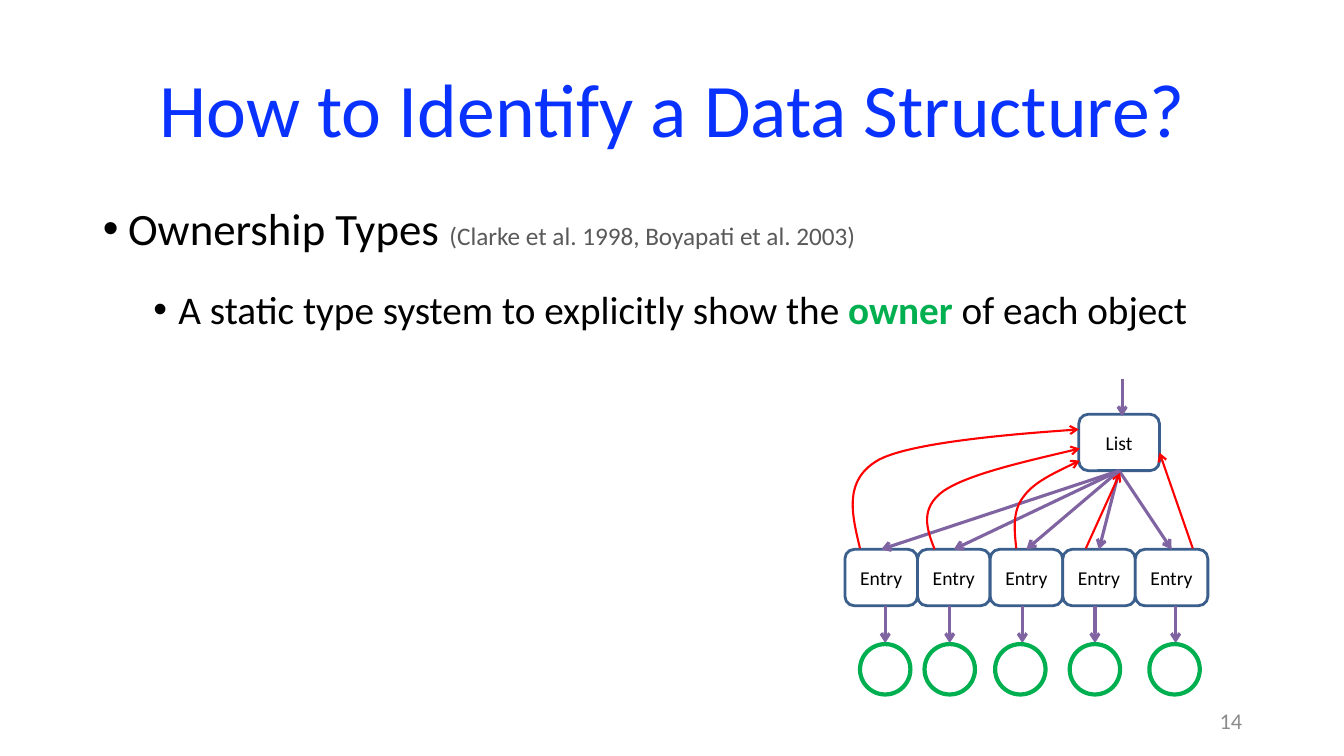
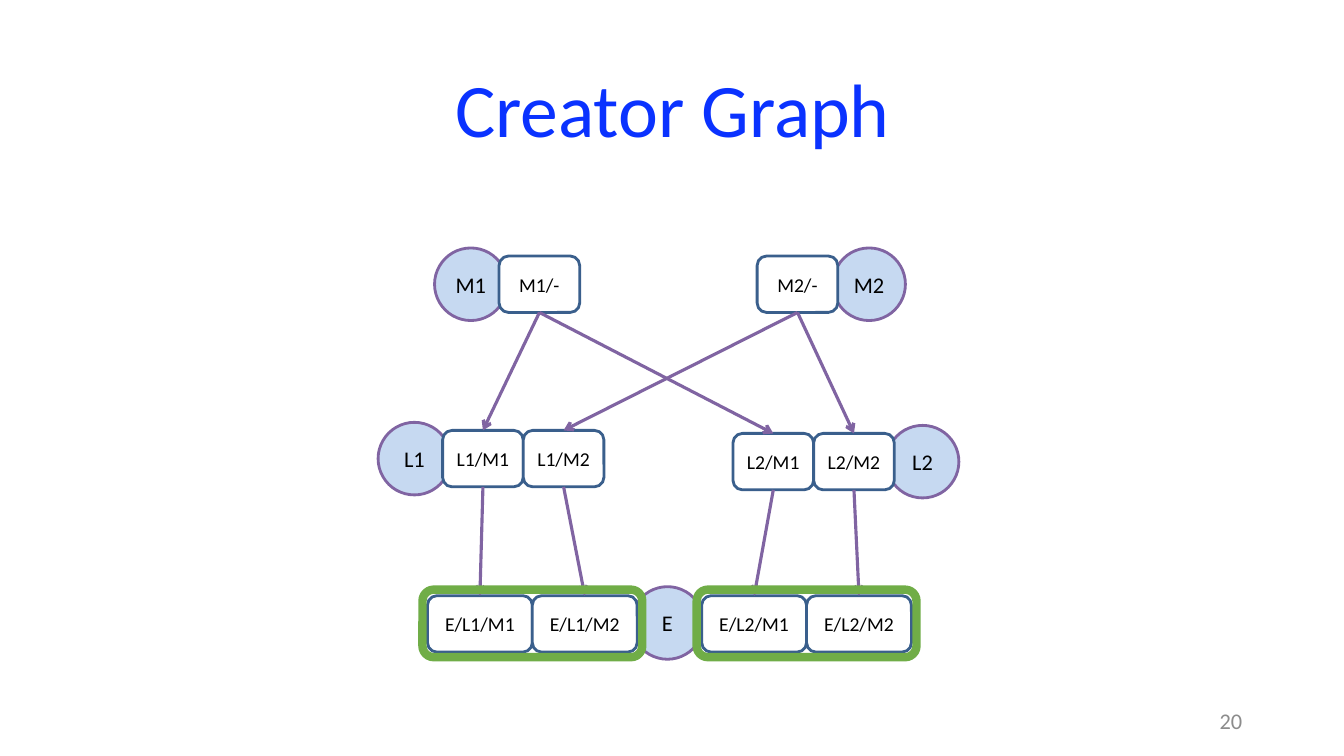
from lxml import etree
from pptx import Presentation
from pptx.dml.color import RGBColor
from pptx.enum.shapes import MSO_CONNECTOR, MSO_SHAPE
from pptx.enum.text import MSO_ANCHOR, MSO_AUTO_SIZE, PP_ALIGN
from pptx.oxml.ns import qn
from pptx.util import Inches, Pt

STRAIGHT = MSO_CONNECTOR.STRAIGHT
ROUNDED = MSO_SHAPE.ROUNDED_RECTANGLE
OVAL = MSO_SHAPE.OVAL
MIDDLE = MSO_ANCHOR.MIDDLE
NO_AUTOFIT = MSO_AUTO_SIZE.NONE
CENTER, LEFT, RIGHT = PP_ALIGN.CENTER, PP_ALIGN.LEFT, PP_ALIGN.RIGHT

FONT = "Calibri"
BLACK = RGBColor(0x00, 0x00, 0x00)
WHITE = RGBColor(0xFF, 0xFF, 0xFF)
TITLE_BLUE = RGBColor(0x0A, 0x32, 0xFF)
CITATION_GRAY = RGBColor(0x59, 0x59, 0x59)
NUMBER_GRAY = RGBColor(0x8C, 0x8C, 0x8C)
BOX_BLUE = RGBColor(0x3A, 0x5F, 0x8C)
PALE_BLUE = RGBColor(0xC6, 0xD9, 0xF1)
PURPLE = RGBColor(0x80, 0x64, 0xA2)
RED = RGBColor(0xFF, 0x00, 0x00)
OWNER_GREEN = RGBColor(0x00, 0xB0, 0x50)
FRAME_GREEN = RGBColor(0x70, 0xAD, 0x47)

TITLE_LAYOUT, TITLE_ONLY_LAYOUT = 1, 5
TOP, BOTTOM = 0, 2
BOX_HEIGHT = 0.56
OBJECT_SIZE = 0.5
CREATOR_SIZE = 0.72

BULLETS = [
    (0, 0.25, 0.9, 0, [
        ("Ownership Types ", 32, BLACK, False),
        ("(Clarke et al. 1998, Boyapati et al. 2003)", 18, CITATION_GRAY, False),
    ]),
    (1, 0.75, 1.5, 5, [
        ("A static type system to explicitly show the ", 28, BLACK, False),
        ("owner ", 28, OWNER_GREEN, True),
        ("of each object", 28, BLACK, False),
    ]),
]

ENTRY_LEFT, ENTRY_TOP, ENTRY_WIDTH = 8.38, 5.45, 0.72
OBJECTS = [(8.78, 8.53), (9.42, 9.17), (10.14, 9.87), (10.86, 10.61), (11.66, 11.4)]

BACK_CURVES = [
    [(8.53, 5.44), (8.45, 5.1), (8.36, 4.76), (8.72, 4.56),
     (9.08, 4.37), (10.7, 4.26), (10.7, 4.26)],
    [(9.27, 5.45), (9.19, 5.25), (9.12, 5.04), (9.36, 4.87),
     (9.6, 4.71), (10.16, 4.58), (10.71, 4.45)],
    [(10.08, 5.44), (10.06, 5.26), (10.04, 5.07), (10.15, 4.93),
     (10.25, 4.79), (10.48, 4.68), (10.71, 4.57)],
]
BACK_LINES = [((11.83, 5.44), (11.5, 4.49)), ((10.77, 5.44), (11.11, 4.69))]

CREATORS = [("M1", 4.31, 2.46), ("M2", 8.26, 2.46), ("L1", 3.75, 4.19),
            ("L2", 8.79, 4.22), ("E", 6.26, 5.82)]
CONTEXT_ROWS = [
    (["M1/-"], 4.95, 2.54, 0.8),
    (["M2/-"], 7.51, 2.54, 0.8),
    (["L1/M1", "L1/M2"], 4.39, 4.27, 0.8),
    (["L2/M1", "L2/M2"], 7.27, 4.3, 0.8),
    (["E/L1/M1", "E/L1/M2"], 4.24, 5.91, 1.04),
    (["E/L2/M1", "E/L2/M2"], 6.96, 5.91, 1.04),
]
FRAME_LEFTS = [4.19, 6.91]


def add_run(paragraph, text, size, color, bold=False):
    """Append one formatted run."""
    run = paragraph.add_run()
    run.text = text
    run.font.name = FONT
    run.font.size = Pt(size)
    run.font.bold = bold
    run.font.color.rgb = color


def place(shape, left, top, width, height):
    """Move and size a shape, in inches."""
    shape.left, shape.top = Inches(left), Inches(top)
    shape.width, shape.height = Inches(width), Inches(height)


def add_base_slide(presentation, layout, title, number):
    """Add a slide with its title and slide number."""
    slide = presentation.slides.add_slide(presentation.slide_layouts[layout])
    place(slide.shapes.title, 0.92, 0.4, 11.5, 1.45)
    frame = slide.shapes.title.text_frame
    frame.vertical_anchor = MIDDLE
    frame.auto_size = NO_AUTOFIT
    paragraph = frame.paragraphs[0]
    paragraph.alignment = CENTER
    paragraph.line_spacing = 0.9
    add_run(paragraph, title, 54, TITLE_BLUE)

    box = slide.shapes.add_textbox(Inches(9.42), Inches(6.95), Inches(3), Inches(0.4))
    box.text_frame.word_wrap = True
    box.text_frame.vertical_anchor = MIDDLE
    paragraph = box.text_frame.paragraphs[0]
    paragraph.alignment = RIGHT
    add_run(paragraph, number, 16, NUMBER_GRAY)
    return slide


def fill_bullets(body, bullets):
    """Write the bulleted list into the body placeholder."""
    place(body, 0.92, 2, 11.5, 4.76)
    frame = body.text_frame
    frame.auto_size = NO_AUTOFIT
    for index, (level, margin, spacing, before, runs) in enumerate(bullets):
        paragraph = frame.add_paragraph() if index else frame.paragraphs[0]
        paragraph.level = level
        paragraph.alignment = LEFT
        paragraph.line_spacing = spacing
        paragraph.space_before = Pt(before)
        properties = paragraph._p.get_or_add_pPr()
        properties.set("marL", str(Inches(margin)))
        properties.set("indent", str(Inches(-0.25)))
        etree.SubElement(properties, qn("a:buFont")).set("typeface", "Arial")
        etree.SubElement(properties, qn("a:buChar")).set("char", "•")
        for run in runs:
            add_run(paragraph, *run)


def add_node(slide, kind, bounds, line_color, line_width, fill=None, label="", size=14):
    """Add an outlined shape, with an optional fill and centred label."""
    shape = slide.shapes.add_shape(kind, *(Inches(length) for length in bounds))
    shape.shadow.inherit = False
    if fill is None:
        shape.fill.background()
    else:
        shape.fill.solid()
        shape.fill.fore_color.rgb = fill
    shape.line.color.rgb = line_color
    shape.line.width = Pt(line_width)
    if label:
        frame = shape.text_frame
        frame.margin_left = frame.margin_right = 0
        frame.vertical_anchor = MIDDLE
        frame.paragraphs[0].alignment = CENTER
        add_run(frame.paragraphs[0], label, size, BLACK)
    return shape


def add_box_row(slide, labels, left, top, width):
    """Add touching boxes from left to right and return them."""
    return [
        add_node(slide, ROUNDED, (left + index * width, top, width, BOX_HEIGHT),
                 BOX_BLUE, 2, WHITE, label)
        for index, label in enumerate(labels)
    ]


def style_arrow(shape, color, width):
    """Colour a line and put an open arrowhead at its end."""
    shape.line.color.rgb = color
    shape.line.width = Pt(width)
    outline = shape.element.spPr.find(qn("a:ln"))
    etree.SubElement(outline, qn("a:tailEnd")).set("type", "arrow")


def add_arrow(slide, start, end, color=PURPLE, width=2.25):
    """Add a straight arrow between two points."""
    points = (Inches(length) for length in (*start, *end))
    connector = slide.shapes.add_connector(STRAIGHT, *points)
    style_arrow(connector, color, width)
    etree.SubElement(connector.element.spPr, qn("a:effectLst"))
    return connector


def join_boxes(slide, upper, lower):
    """Add an arrow from the bottom of one box to the top of another."""
    connector = add_arrow(slide, (0, 0), (0, 0))
    connector.begin_connect(upper, BOTTOM)
    connector.end_connect(lower, TOP)


def add_curve(slide, points):
    """Add a red arrow along cubic curves given by their control points."""
    corners = [(Inches(x), Inches(y)) for x, y in points]
    builder = slide.shapes.build_freeform(*corners[0])
    builder.add_line_segments(corners[1:], close=False)
    shape = builder.convert_to_shape()
    shape.shadow.inherit = False
    shape.fill.background()
    style_arrow(shape, RED, 1.5)
    outline = shape.element.xpath(".//a:path")[0]
    segments = outline.findall(qn("a:lnTo"))
    for first in range(0, len(segments), 3):
        curve = etree.SubElement(outline, qn("a:cubicBezTo"))
        for segment in segments[first:first + 3]:
            curve.append(segment[0])
            outline.remove(segment)


def build_ownership_slide(presentation):
    """Build the slide on ownership types with its list diagram."""
    slide = add_base_slide(presentation, TITLE_LAYOUT,
                           "How to Identify a Data Structure?", "14")
    fill_bullets(slide.placeholders[1], BULLETS)
    list_box = add_box_row(slide, ["List"], 10.7, 4.11, 0.8)[0]
    entries = add_box_row(slide, ["Entry"] * len(OBJECTS),
                          ENTRY_LEFT, ENTRY_TOP, ENTRY_WIDTH)
    add_arrow(slide, (11.13, 3.76), (11.13, 4.13))
    for entry in entries:
        join_boxes(slide, list_box, entry)
    for arrow_x, object_left in OBJECTS:
        add_arrow(slide, (arrow_x, ENTRY_TOP + BOX_HEIGHT), (arrow_x, 6.38))
        add_node(slide, OVAL, (object_left, 6.39, OBJECT_SIZE, OBJECT_SIZE),
                 OWNER_GREEN, 3)
    for points in BACK_CURVES:
        add_curve(slide, points)
    for start, end in BACK_LINES:
        add_arrow(slide, start, end, RED, 1.5)


def build_creator_slide(presentation):
    """Build the creator graph, where each context points to those it creates."""
    slide = add_base_slide(presentation, TITLE_ONLY_LAYOUT, "Creator Graph", "20")
    for label, left, top in CREATORS:
        add_node(slide, OVAL, (left, top, CREATOR_SIZE, CREATOR_SIZE),
                 PURPLE, 2, PALE_BLUE, label, 16)
    boxes = {}
    for labels, left, top, width in CONTEXT_ROWS:
        boxes.update(zip(labels, add_box_row(slide, labels, left, top, width)))
    for label, box in boxes.items():
        creator = label.split("/", 1)[1]
        parent = boxes.get(creator) or boxes.get(creator + "/-")
        if parent is not None:
            join_boxes(slide, parent, box)
    for left in FRAME_LEFTS:
        add_node(slide, ROUNDED, (left, 5.85, 2.18, 0.67), FRAME_GREEN, 6)


def main():
    """Build and save the presentation."""
    presentation = Presentation()
    presentation.slide_width = Inches(13.33)
    presentation.slide_height = Inches(7.5)
    build_ownership_slide(presentation)
    build_creator_slide(presentation)
    presentation.save("out.pptx")


if __name__ == "__main__":
    main()
